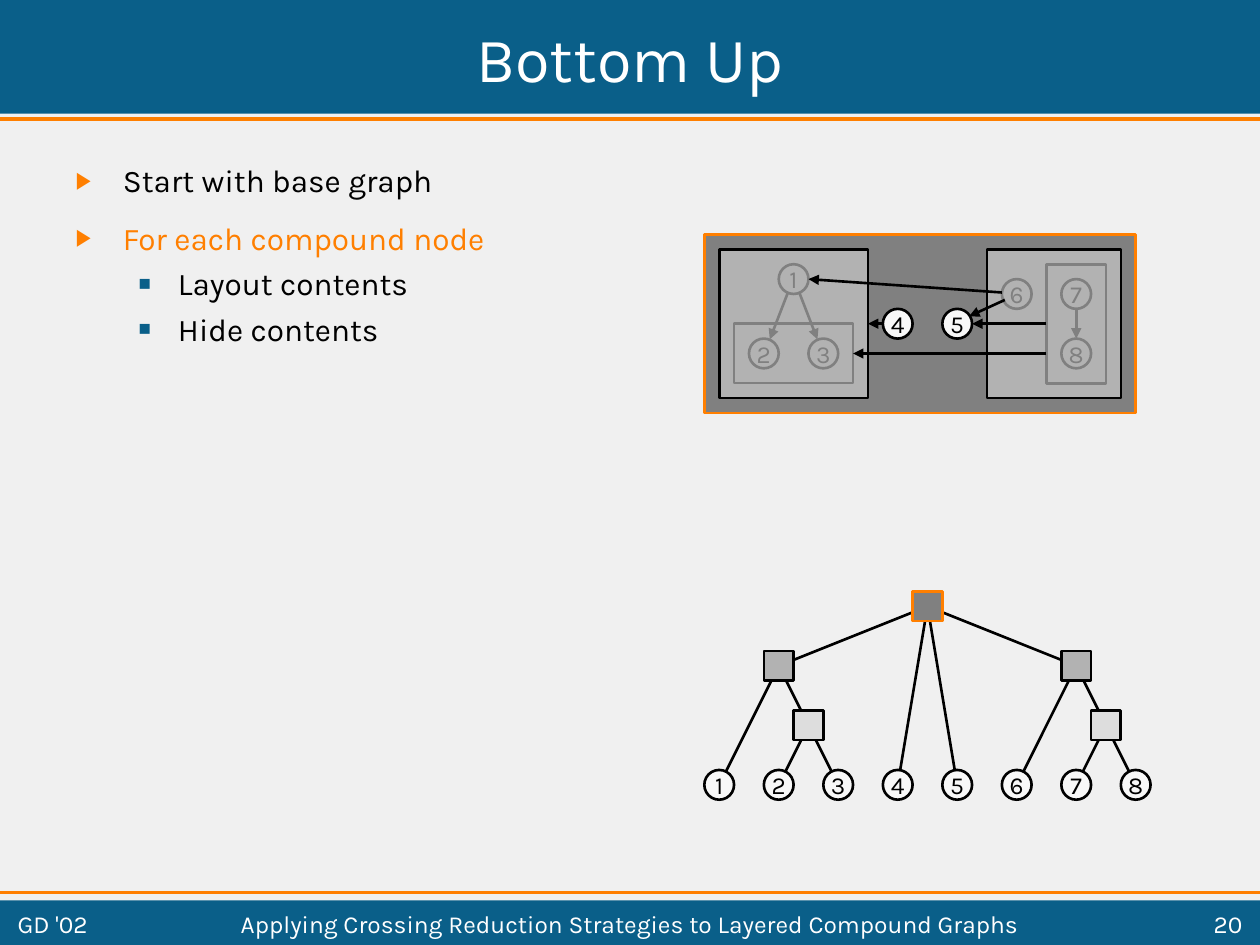
from lxml import etree
from pptx import Presentation
from pptx.dml.color import RGBColor
from pptx.enum import shapes as sh, text as tx
from pptx.oxml import ns
from pptx.util import Pt

FONT = "Karla"
BLUE, ORANGE, BLACK, WHITE = "0A5F89", "FF7F00", "000000", "FFFFFF"
DARK, MID, PALE, NODE = "808080", "B2B2B2", "DDDDDD", "F8F8F8"
UNIT = 8.5  # grid step of both drawings, in points


def rgb(hue):
    return RGBColor.from_string(hue)


def sub(parent, tag, **attrs):
    return etree.SubElement(parent, ns.qn(tag), **attrs)


def run(para, words, size, hue):
    r = para.add_run()
    r.text = words
    r.font.size = Pt(size)
    r.font.name = FONT
    r.font.color.rgb = rgb(hue)


def place(shape, box):
    shape.left, shape.top, shape.width, shape.height = map(Pt, box)


def block(slide, kind, box, fill=None, edge=None):
    shape = slide.shapes.add_shape(kind, *map(Pt, box))
    shape.shadow.inherit = False
    if fill:
        shape.fill.solid()
        shape.fill.fore_color.rgb = rgb(fill)
    else:
        shape.fill.background()
    if edge:
        shape.line.color.rgb = rgb(edge)
        shape.line.width = Pt(1.5)
    else:
        shape.line.fill.background()
    return shape


def rect(slide, box, fill=None, edge=None):
    return block(slide, sh.MSO_SHAPE.RECTANGLE, box, fill, edge)


def line(slide, start, end, hue=BLACK, width=1.5, arrow=False):
    wire = slide.shapes.add_connector(
        sh.MSO_CONNECTOR.STRAIGHT, *map(Pt, (*start, *end)))
    wire.line.color.rgb = rgb(hue)
    wire.line.width = Pt(width)
    if arrow:
        sub(wire.line._get_or_add_ln(), "a:tailEnd", type="triangle")
    sub(wire.element.spPr, "a:effectLst")
    return wire


def node(slide, mid, label, dim=False):
    x, y = mid
    hue = DARK if dim else BLACK
    dot = block(slide, sh.MSO_SHAPE.OVAL,
                (x - UNIT, y - UNIT, 2 * UNIT, 2 * UNIT),
                None if dim else NODE, hue)
    frame = dot.text_frame
    frame.word_wrap = False
    frame.vertical_anchor = tx.MSO_ANCHOR.MIDDLE
    para = frame.paragraphs[0]
    para.alignment = tx.PP_ALIGN.CENTER
    run(para, str(label), 14, hue)


def grid(box):
    """Return a function from grid steps to points within the box."""
    return lambda x, y: (box[0] + x * UNIT, box[1] + y * UNIT)


def header(slide, box):
    left, top, wide, high = box
    rect(slide, box, BLUE)
    line(slide, (left, top + high + 3), (left + wide, top + high + 3), ORANGE, 2.25)
    title = slide.shapes.title
    title.element.getparent().append(title.element)  # in front of the band
    place(title, (left + 3, top + 3, wide - 6, high - 5))
    frame = title.text_frame
    frame.auto_size = tx.MSO_AUTO_SIZE.NONE
    frame.vertical_anchor = tx.MSO_ANCHOR.MIDDLE
    para = frame.paragraphs[0]
    para.alignment = tx.PP_ALIGN.CENTER
    run(para, "Bottom Up", 36, WHITE)


def steps(slide, box):
    body = slide.placeholders[1]
    place(body, box)
    frame = body.text_frame
    frame.auto_size = tx.MSO_AUTO_SIZE.NONE
    # level: margin, hang, space before, bullet, bullet colour, bullet size
    looks = [(27, 27, 11.2, "▶", ORANGE, 75), (58.5, 22.5, 4.5, "■", BLUE, 65)]
    items = [("Start with base graph", 0, BLACK),
             ("For each compound node", 0, ORANGE),
             ("Layout contents", 1, BLACK),
             ("Hide contents", 1, BLACK)]
    for i, (words, level, hue) in enumerate(items):
        para = frame.add_paragraph() if i else frame.paragraphs[0]
        margin, hang, gap, mark, tint, size = looks[level]
        para.level = level
        para.space_before = Pt(gap)
        props = para._p.get_or_add_pPr()
        props.set("marL", str(Pt(margin)))
        props.set("indent", str(-Pt(hang)))
        sub(sub(props, "a:buClr"), "a:srgbClr", val=tint)
        sub(props, "a:buSzPct", val=str(size * 1000))
        sub(props, "a:buChar", char=mark)
        run(para, words, 18, hue)


def graph(slide, box):
    at = grid(box)

    def frame(x, y, wide, high, fill, edge):
        return rect(slide, (*at(x, y), wide * UNIT, high * UNIT), fill, edge)

    # Nested compound nodes
    frame(0, 0, 29, 12, DARK, ORANGE)
    frame(19, 1, 9, 10, MID, BLACK)
    west = frame(1, 1, 10, 10, MID, BLACK)
    east = frame(23, 2, 4, 8, None, DARK)
    pair = frame(2, 6, 8, 4, None, DARK)

    # Hidden edges, then nodes
    for start, end in [((6.4, 3.95), (7.6, 7.05)), ((5.6, 3.95), (4.4, 7.05)),
                       ((25, 5), (25, 7))]:
        line(slide, at(*start), at(*end), DARK, arrow=True)
    spots = [(6, 3), (4, 8), (8, 8), (13, 6), (17, 6), (21, 4), (25, 4), (25, 8)]
    for label, spot in enumerate(spots, 1):
        node(slide, at(*spot), label, dim=label not in (4, 5))

    # Visible edges
    line(slide, at(20.2, 4.4), at(17.8, 5.5), arrow=True)
    line(slide, at(20, 3.9), at(7, 3), arrow=True)
    line(slide, at(23, 8), at(10, 8), arrow=True).end_connect(pair, 3)
    line(slide, at(12, 6), at(11, 6), arrow=True).end_connect(west, 3)
    line(slide, at(23, 6), at(18, 6), arrow=True).begin_connect(east, 1)


def tree(slide, box):
    at = grid(box)
    leaves = {n: (4 * n - 3, 13) for n in range(1, 9)}
    inner = {"root": (15, 1, DARK, ORANGE),
             "west": (5, 5, MID, BLACK), "east": (25, 5, MID, BLACK),
             "low west": (7, 9, PALE, BLACK), "low east": (27, 9, PALE, BLACK)}
    kids = {"root": ["west", 4, 5, "east"],
            "west": [1, "low west"], "east": [6, "low east"],
            "low west": [2, 3], "low east": [7, 8]}
    spots = {**leaves, **{name: part[:2] for name, part in inner.items()}}
    for top, below in kids.items():
        for kid in below:
            line(slide, at(*spots[kid]), at(*spots[top]))
    for x, y, fill, edge in inner.values():
        rect(slide, (*at(x - 1, y - 1), 2 * UNIT, 2 * UNIT), fill, edge)
    for label, spot in leaves.items():
        node(slide, at(*spot), label)


def footer(slide, box):
    left, top, wide, high = box
    rect(slide, box, BLUE)
    line(slide, (left, top - 4.5), (left + wide, top - 4.5), ORANGE, 2.25)
    side = 85
    parts = [(3, side, "GD '02", tx.PP_ALIGN.LEFT),
             (94, wide - 188,
              "Applying Crossing Reduction Strategies to Layered Compound Graphs",
              tx.PP_ALIGN.CENTER),
             (wide - side - 3, side, "20", tx.PP_ALIGN.RIGHT)]
    for x, span, words, align in parts:
        area = slide.shapes.add_textbox(
            *map(Pt, (left + x, top + 3, span, high - 5)))
        frame = area.text_frame
        frame.word_wrap = True
        frame.vertical_anchor = tx.MSO_ANCHOR.MIDDLE
        para = frame.paragraphs[0]
        para.alignment = align
        run(para, words, 14, WHITE)


def main():
    deck = Presentation()
    deck.slide_width, deck.slide_height = Pt(720), Pt(540)
    slide = deck.slides.add_slide(deck.slide_layouts[1])
    slide.background.fill.solid()
    slide.background.fill.fore_color.rgb = rgb("F0F0F0")
    header(slide, (0, 0, 720, 65))
    steps(slide, (36, 88.5, 318, 408))
    graph(slide, (402.5, 134, 246.5, 102))
    tree(slide, (402.5, 338, 255, 119))
    footer(slide, (0, 514.5, 720, 25.5))
    deck.save("out.pptx")


if __name__ == "__main__":
    main()
